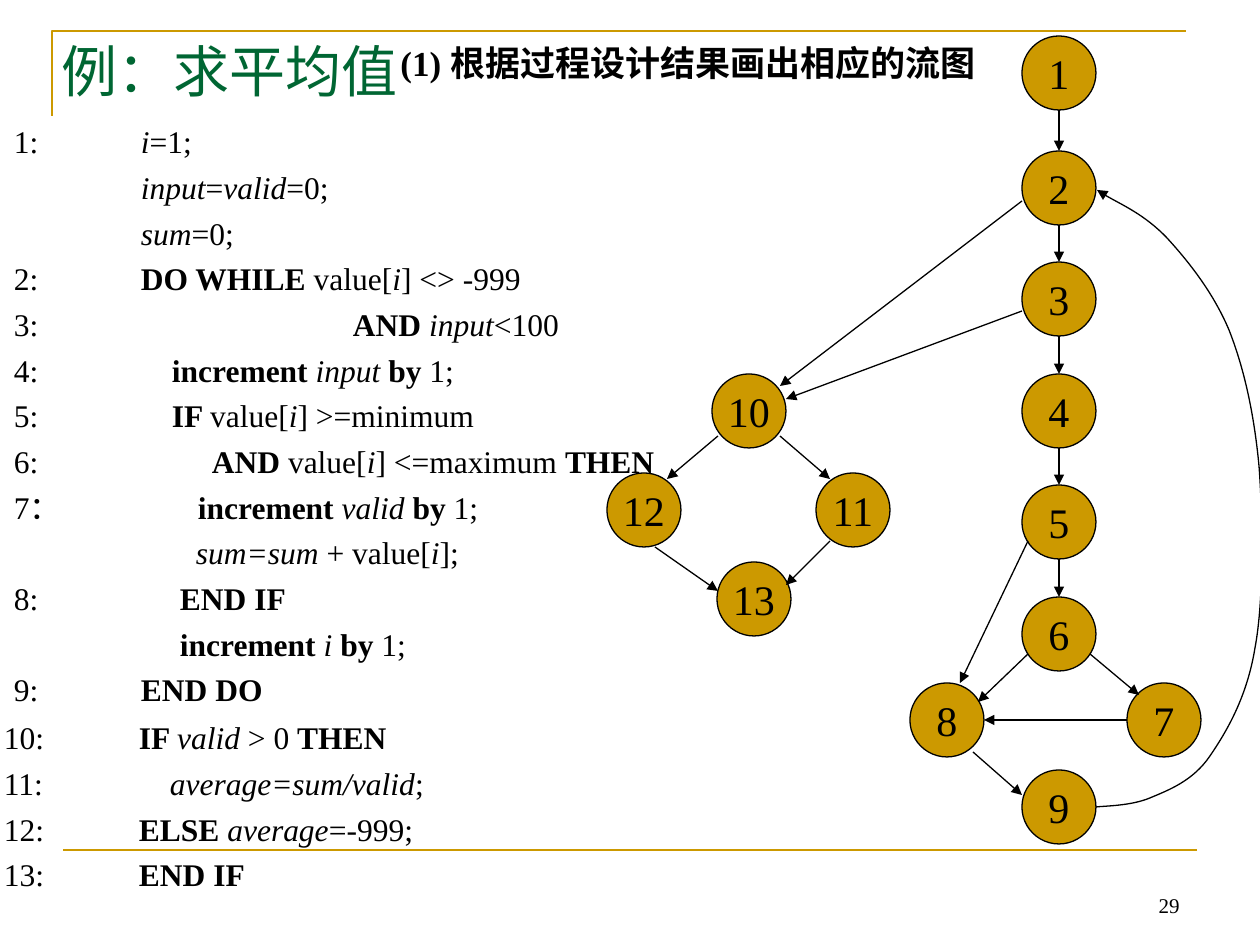
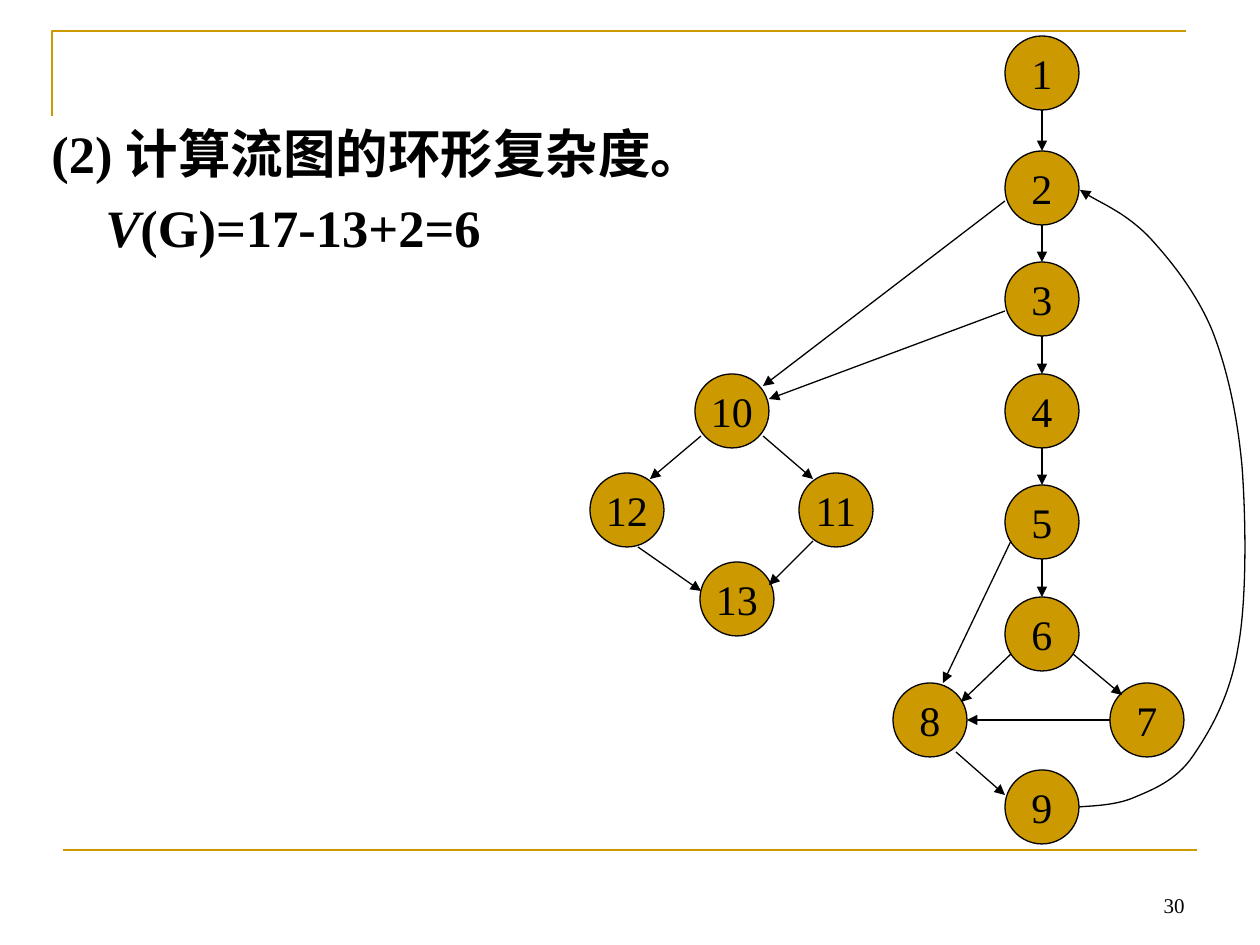
from lxml.etree import SubElement
from pptx import Presentation
from pptx.dml.color import RGBColor
from pptx.enum.shapes import MSO_CONNECTOR as Connector, MSO_SHAPE as Preset
from pptx.enum.text import MSO_ANCHOR as Anchor, PP_ALIGN as Align
from pptx.oxml.ns import qn
from pptx.util import Emu, Pt

PX = 914400 / 126
FONT = "Times New Roman"
GOLD, BLACK, GREEN = "CC9900", "000000", "006633"

RADIUS = 37
UP, DOWN, LEFT, RIGHT = (0, -RADIUS), (0, RADIUS), (-RADIUS, 0), (RADIUS, 0)
COLUMN = 452
NODES = {
    1: (COLUMN, 37),
    **{number: (COLUMN, 152 + (number - 2) * 223 // 2) for number in range(2, 7)},
    9: (COLUMN, 771), 8: (340, 684), 7: (557, 684),
    10: (142, 375), 12: (37, 474), 11: (246, 474), 13: (147, 563),
}
EDGES = [(number, DOWN, number + 1, UP) for number in range(1, 6)] + [
    (2, (-37, 13), 10, (31, -25)),
    (3, (-37, 12), 10, (37, -12)),
    (6, (31, 20), 7, (-25, -25)),
    (5, (-31, 19), 8, (13, -37)),
    (6, (-31, 20), 8, (31, -18)),
    (10, (-31, 25), 12, (23, -31)),
    (10, (31, 25), 11, (-23, -31)),
    (12, (11, 37), 13, (-36, -8)),
    (11, (-23, 31), 13, (32, -14)),
    (7, LEFT, 8, RIGHT),
    (8, (26, 32), 9, (-37, -12)),
]
LOOP_BACK = [
    (489, 771),
    (498, 770), (524, 770), (543, 762),
    (562, 754), (586, 745), (603, 720),
    (620, 695), (640, 661), (648, 612),
    (657, 564), (656, 483), (652, 430),
    (647, 377), (637, 332), (622, 294),
    (606, 256), (581, 225), (560, 202),
    (537, 178), (504, 164), (490, 154),
]

LOOP_CODE = [
    ("1:", 127, [("i", "i"), ("", "=1;")]),
    ("", 127, [("i", "input"), ("", "="), ("i", "valid"), ("", "=0;")]),
    ("", 127, [("i", "sum"), ("", "=0;")]),
    ("2:", 127, [("b", "DO WHILE "), ("", "value["), ("i", "i"), ("", "] <> -999")]),
    ("3:", 339, [("b", "AND "), ("i", "input"), ("", "<100")]),
    ("4:", 158, [("b", "increment "), ("i", "input "), ("b", "by"), ("", " 1;")]),
    ("5:", 158, [("b", "IF "), ("", "value["), ("i", "i"), ("", "] >=minimum")]),
    ("6:", 198, [("b", "AND "), ("", "value["), ("i", "i"),
                 ("", "] <=maximum "), ("b", "THEN")]),
    ("7：", 184, [("b", "increment "), ("i", "valid "), ("b", "by"), ("", " 1;")]),
    ("", 182, [("i", "sum=sum"), ("", " + value["), ("i", "i"), ("", "];")]),
    ("8:", 166, [("b", "END IF")]),
    ("", 166, [("b", "increment "), ("i", "i "), ("b", "by"), ("", " 1;")]),
    ("9:", 127, [("b", "END DO")]),
]
AVERAGE_CODE = [
    ("10:", 135, [("b", "IF "), ("i", "valid "), ("", "> 0 "), ("b", "THEN")]),
    ("11:", 166, [("i", "average=sum/valid"), ("", ";")]),
    ("12:", 135, [("b", "ELSE "), ("i", "average"), ("", "=-999;")]),
    ("13:", 135, [("b", "END IF")]),
]


def px(*lengths):
    return [Emu(round(length * PX)) for length in lengths]


def color(hex_string):
    return RGBColor.from_string(hex_string)


def apply(target, **values):
    for name, value in values.items():
        setattr(target, name, value)


def stroke(shape, hex_string, width, arrow=False):
    shape.line.color.rgb = color(hex_string)
    shape.line.width = Pt(width)
    if arrow:
        SubElement(shape.line._get_or_add_ln(), qn("a:tailEnd"), type="triangle")


def add_line(page, start, end, hex_string, width, arrow=False):
    line = page.shapes.add_connector(Connector.STRAIGHT, *px(*start, *end))
    stroke(line, hex_string, width, arrow)
    SubElement(line.element.spPr, qn("a:effectLst"))


def add_outline(page, points, hex_string, width, arrow=False):
    builder = page.shapes.build_freeform(*points[0], scale=PX)
    builder.add_line_segments(points[1:], close=False)
    outline = builder.convert_to_shape()
    outline.fill.background()
    outline.shadow.inherit = False
    stroke(outline, hex_string, width, arrow)
    return outline


def add_curve(page, points):
    curve = add_outline(page, points, BLACK, 0.75, arrow=True)
    segments = list(curve.element.iter(qn("a:lnTo")))
    for first in range(0, len(segments), 3):
        trio = segments[first:first + 3]
        trio[0].tag = qn("a:cubicBezTo")
        for segment in trio[1:]:
            trio[0].append(segment[0])
            segment.getparent().remove(segment)


def add_span(para, text, size, hex_string=BLACK, style=""):
    span = para.add_run()
    span.text = text
    apply(span.font, name=FONT, size=Pt(size), bold="b" in style, italic="i" in style)
    span.font.color.rgb = color(hex_string)


def add_box(page, left, top, width, height, **frame_format):
    frame = page.shapes.add_textbox(*px(left, top, width, height)).text_frame
    apply(frame, **{"word_wrap": True, **frame_format})
    return frame


def next_para(frame, index, gap):
    if index == 0:
        return frame.paragraphs[0]
    para = frame.add_paragraph()
    para.space_before = Pt(gap)
    return para


def add_label(page, left, top, width, height, text, size, hex_string=BLACK, style=""):
    frame = add_box(page, left, top, width, height)
    add_span(frame.paragraphs[0], text, size, hex_string, style)


def add_code(page, left, top, width, height, lines):
    frame = add_box(page, left, top, width, height, margin_left=0, margin_right=0)
    for index, (label, indent, spans) in enumerate(lines):
        para = next_para(frame, index, 4.5)
        tabs = SubElement(para._p.get_or_add_pPr(), qn("a:tabLst"))
        SubElement(tabs, qn("a:tab"), pos=str(px(indent)[0]), algn="l")
        add_span(para, label + "\t", 18)
        for style, text in spans:
            add_span(para, text, 18, style=style)


def add_complexity(page, left, top, width, height):
    frame = add_box(page, left, top, width, height)
    add_span(next_para(frame, 0, 6), "(2) 计算流图的环形复杂度。", 30, style="b")
    formula = next_para(frame, 1, 6)
    formula._p.get_or_add_pPr().set("marL", str(px(54)[0]))
    add_span(formula, "V", 30, style="bi")
    add_span(formula, "(G)=17-13+2=6", 30, style="b")


def add_flow_graph(page, left, top):
    def place(point, shift=(0, 0)):
        return left + point[0] + shift[0], top + point[1] + shift[1]

    for number, center in NODES.items():
        corner = place(center, (-RADIUS, -RADIUS))
        node = page.shapes.add_shape(Preset.OVAL, *px(*corner, 2 * RADIUS, 2 * RADIUS))
        node.shadow.inherit = False
        node.fill.solid()
        node.fill.fore_color.rgb = color(GOLD)
        stroke(node, BLACK, 0.75)
        apply(node.text_frame, word_wrap=False, vertical_anchor=Anchor.MIDDLE)
        para = node.text_frame.paragraphs[0]
        para.alignment = Align.CENTER
        add_span(para, str(number), 24)
    for source, leave, target, arrive in EDGES:
        add_line(page, place(NODES[source], leave), place(NODES[target], arrive),
                 BLACK, 0.75, arrow=True)
    add_curve(page, [place(point) for point in LOOP_BACK])


def add_page(deck, number, number_left):
    page = deck.slides.add_slide(deck.slide_layouts[6])
    add_outline(page, [(52, 116), (52, 31), (1186, 31)], GOLD, 1.5)
    add_line(page, (63, 850), (1197, 850), GOLD, 1.5)
    footer = add_box(page, number_left, 861, 294, 63, vertical_anchor=Anchor.BOTTOM)
    footer.paragraphs[0].alignment = Align.RIGHT
    add_span(footer.paragraphs[0], str(number), 12)
    return page


def build_flow_page(deck):
    page = add_page(deck, 29, 898)
    add_flow_graph(page, 607, 36)
    add_code(page, 14, 116, 685, 547, LOOP_CODE)
    add_code(page, 4, 712, 542, 209, AVERAGE_CODE)
    add_label(page, 49, 30, 496, 72, "例：求平均值", 32, GREEN)
    add_label(page, 388, 35, 615, 59, "(1) 根据过程设计结果画出相应的流图", 20, style="b")


def build_complexity_page(deck):
    page = add_page(deck, 30, 903)
    add_complexity(page, 39, 115, 690, 704)
    add_flow_graph(page, 590, 36)


def main():
    deck = Presentation()
    deck.slide_width, deck.slide_height = px(1260, 945)
    build_flow_page(deck)
    build_complexity_page(deck)
    deck.save("out.pptx")


if __name__ == "__main__":
    main()
